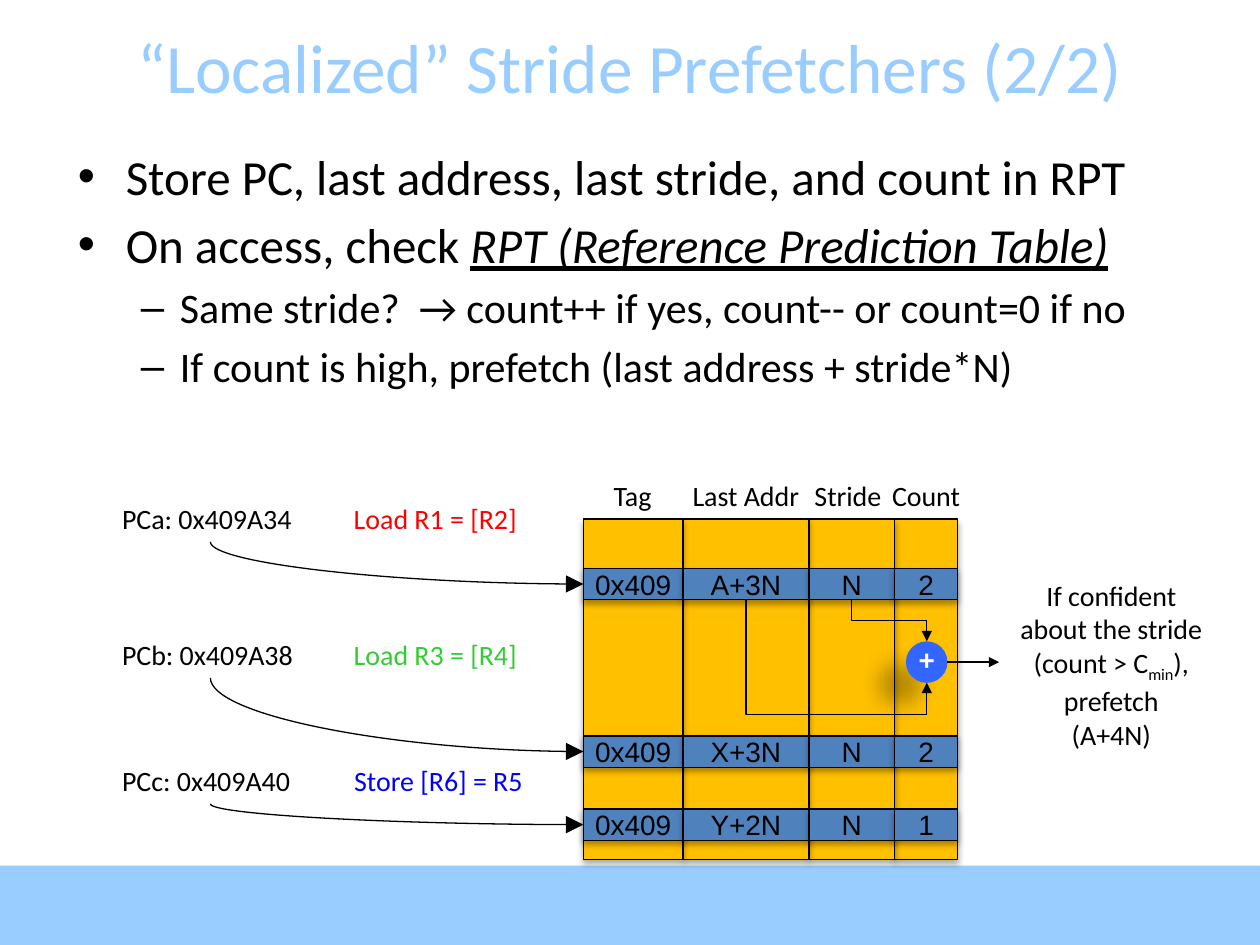
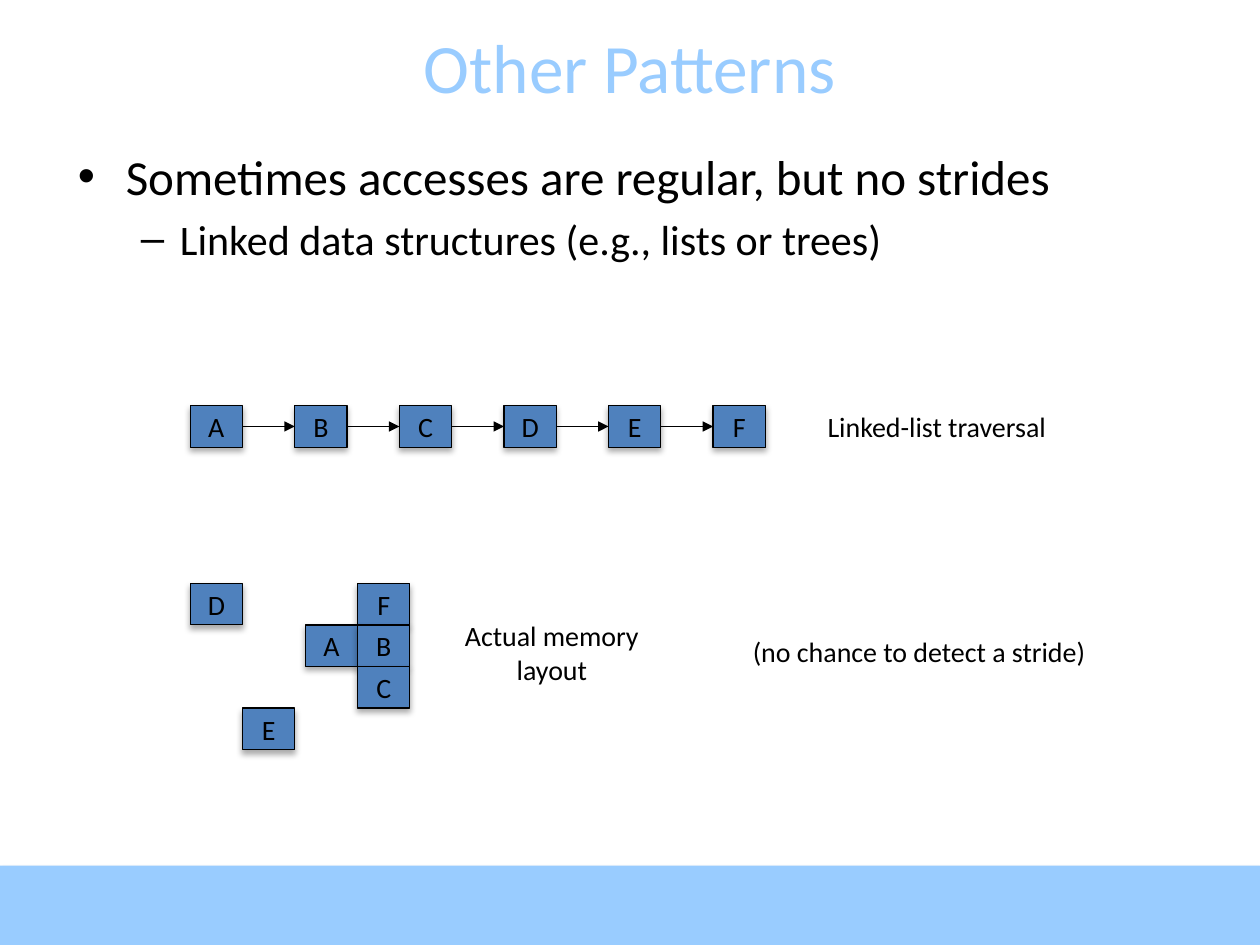
from itertools import pairwise

from lxml import etree
from pptx import Presentation
from pptx.dml.color import RGBColor
from pptx.enum.shapes import MSO_CONNECTOR, MSO_SHAPE
from pptx.enum.text import MSO_ANCHOR, MSO_AUTO_SIZE, PP_ALIGN
from pptx.oxml.ns import qn
from pptx.util import Inches, Pt

RECT, OVAL = MSO_SHAPE.RECTANGLE, MSO_SHAPE.OVAL
STRAIGHT, ELBOW, CURVE = MSO_CONNECTOR.STRAIGHT, MSO_CONNECTOR.ELBOW, MSO_CONNECTOR.CURVE
LEFT, CENTER = PP_ALIGN.LEFT, PP_ALIGN.CENTER
MIDDLE, NO_FIT, GROW = MSO_ANCHOR.MIDDLE, MSO_AUTO_SIZE.NONE, MSO_AUTO_SIZE.SHAPE_TO_FIT_TEXT

SKY = RGBColor(0x99, 0xCC, 0xFF)
GOLD = RGBColor(0xFF, 0xC0, 0x00)
STEEL = RGBColor(0x4F, 0x81, 0xBD)
ADDER_BLUE = RGBColor(0x33, 0x66, 0xFF)
BLACK = RGBColor(0, 0, 0)
WHITE = RGBColor(0xFF, 0xFF, 0xFF)
RED = RGBColor(0xFF, 0, 0)
GREEN = RGBColor(0x33, 0xCC, 0x33)
BLUE = RGBColor(0, 0, 0xFF)

SLIDE_W, SLIDE_H = 10, 7.5
BAND_TOP = 6.87
BULLETS = [("•", 28, 0.38, 0.38), ("–", 24, 0.81, 0.31)]

BAND_SHADOW = (35, 3.1, 1.8, 90)
BOX_SHADOW = (32, 3.5, 2.2, 90)
ADDER_SHADOW = (28, 11.8, 19.7, 141)

TABLE_TOP, TABLE_H, ROW_H = 4.12, 2.7, 0.25
COL_EDGES = [4.63, 5.42, 6.42, 7.1, 7.6]
HEADER_TOP, HEADER_W = 3.75, 1.4
HEADERS = [("Tag", 5.02), ("Last Addr", 5.92), ("Stride", 6.73), ("Count", 7.35)]
ENTRIES = [
    (4.51, ["0x409", "A+3N", "N", "2"]),
    (5.84, ["0x409", "X+3N", "N", "2"]),
    (6.42, ["0x409", "Y+2N", "N", "1"]),
]
ACCESSES = [
    (3.93, "PCa: 0x409A34", "Load R1 = [R2]", RED, 1.61),
    (5.01, "PCb: 0x409A38", "Load R3 = [R4]", GREEN, 1.61),
    (6.01, "PCc: 0x409A40", "Store [R6] = R5", BLUE, 1.66),
]
LABEL_H = 0.37
ADDER_X, ADDER_Y, ADDER_D = 7.19, 5.09, 0.33

LIST_PITCH, NODE_H, NODES_LEFT = 0.83, 0.33, 1.51
NODE_W = LIST_PITCH / 2
LIST_TOP, MEMORY_TOP = 3.22, 4.63
MEMORY = [("F", 3.2, 0), ("A", 2.2, 1), ("B", 3.2, 1), ("C", 3.2, 2), ("D", 0, 0), ("E", 1, 3)]


def add_xml(parent, tag, **attrs):
    """Append a DrawingML child element and return it."""
    return etree.SubElement(parent, qn(tag), {k: str(v) for k, v in attrs.items()})


def write(p, runs, size=16, font="Calibri", color=BLACK, bold=False, align=CENTER):
    """Fill a paragraph from a string or a list of (text, run format)."""
    p.alignment = align
    for text, extra in [(runs, {})] if isinstance(runs, str) else runs:
        r = p.add_run()
        r.text = text
        f = r.font
        f.size, f.name, f.bold = Pt(size), font, bold
        f.color.rgb = color
        f.italic = f.underline = extra.get("emphasis", False)
        if "baseline" in extra:
            r._r.get_or_add_rPr().set("baseline", str(extra["baseline"]))


def next_paragraph(tf, i):
    """Return the frame's first paragraph, or a new one after it."""
    return tf.add_paragraph() if i else tf.paragraphs[0]


def add_shadow(sp, alpha, blur, distance, angle):
    """Give a shape a black outer shadow."""
    sp.shadow.inherit = False
    effects = sp._element.spPr.find(qn("a:effectLst"))
    outer = add_xml(effects, "a:outerShdw", blurRad=Pt(blur), dist=Pt(distance),
                    dir=angle * 60000, rotWithShape=0)
    add_xml(add_xml(outer, "a:srgbClr", val="000000"), "a:alpha", val=alpha * 1000)


def add_box(shapes, kind, x, y, w, h, fill, shadow=BOX_SHADOW, outlined=True, text="", **fmt):
    """Draw a filled shape with a shadow and optional centred text."""
    sp = shapes.add_shape(kind, Inches(x), Inches(y), Inches(w), Inches(h))
    sp.fill.solid()
    sp.fill.fore_color.rgb = fill
    if outlined:
        sp.line.color.rgb = BLACK
        sp.line.width = Pt(0.75)
    else:
        sp.line.fill.background()
    add_shadow(sp, *shadow)
    if text:
        tf = sp.text_frame
        tf.word_wrap, tf.vertical_anchor = False, MIDDLE
        write(tf.paragraphs[0], text, **fmt)
    return sp


def add_label(shapes, x, y, w, h, paragraphs, **fmt):
    """Place a text box that does not wrap."""
    tf = shapes.add_textbox(Inches(x), Inches(y), Inches(w), Inches(h)).text_frame
    tf.word_wrap, tf.auto_size = False, GROW
    for i, runs in enumerate(paragraphs):
        write(next_paragraph(tf, i), runs, **fmt)


def add_arrow(shapes, kind, x1, y1, x2, y2, head="med"):
    """Draw a thin black connector with a triangle at its end."""
    c = shapes.add_connector(kind, Inches(x1), Inches(y1), Inches(x2), Inches(y2))
    c.line.color.rgb = BLACK
    c.line.width = Pt(0.75)
    spPr = c._element.spPr
    add_xml(spPr.find(qn("a:ln")), "a:tailEnd", type="triangle", w=head, len=head)
    add_xml(spPr, "a:effectLst")
    return c


def add_down_arrow(shapes, kind, preset, x1, y1, x2, y2, bend=None, head="med"):
    """Draw a bent or curved arrow that leaves its start downwards."""
    cx, cy = (x1 + x2) / 2, (y1 + y2) / 2
    half_w, half_h = (y2 - y1) / 2, (x2 - x1) / 2
    c = add_arrow(shapes, kind, cx - half_w, cy - half_h, cx + half_w, cy + half_h, head)
    xfrm = c._element.spPr.find(qn("a:xfrm"))
    xfrm.set("rot", str(270 * 60000))
    xfrm.set("flipH", "1")
    geom = c._element.spPr.find(qn("a:prstGeom"))
    geom.set("prst", preset)
    if bend is not None:
        add_xml(geom.find(qn("a:avLst")), "a:gd", name="adj1", fmla=f"val {round(bend * 100000)}")


def add_bullets(s, items):
    """Write (level, paragraph) items as the slide's bulleted body."""
    tf = s.shapes.add_textbox(Inches(0.52), Inches(1.11), Inches(9), Inches(5.56)).text_frame
    tf.word_wrap = True
    for i, (level, runs) in enumerate(items):
        mark, size, margin, hang = BULLETS[level]
        p = next_paragraph(tf, i)
        write(p, runs, size=size, align=LEFT)
        p.level = level
        p.space_before = Pt(size * 0.2)
        pPr = p._p.get_or_add_pPr()
        pPr.set("marL", str(Inches(margin)))
        pPr.set("indent", str(-Inches(hang)))
        add_xml(pPr, "a:buFont", typeface="Arial")
        add_xml(pPr, "a:buChar", char=mark)


def new_slide(prs, title, bullets):
    """Add a slide with the shared band, title and body styles."""
    s = prs.slides.add_slide(prs.slide_layouts[5])
    add_box(s.shapes, RECT, 0, BAND_TOP, SLIDE_W, SLIDE_H - BAND_TOP, SKY, BAND_SHADOW, False)
    sp = s.shapes.title
    sp.left, sp.top, sp.width, sp.height = 0, Inches(0.21), Inches(SLIDE_W), Inches(0.63)
    tf = sp.text_frame
    tf.auto_size, tf.vertical_anchor = NO_FIT, MIDDLE
    write(tf.paragraphs[0], title, size=39.6, color=SKY)
    add_bullets(s, bullets)
    return s


def add_prediction_table(shapes):
    """Draw the table's columns, headers and entries."""
    columns = list(pairwise(COL_EDGES))
    for left, right in reversed(columns):
        add_box(shapes, RECT, left, TABLE_TOP, right - left, TABLE_H, GOLD)
    for text, center in HEADERS:
        add_label(shapes, center - HEADER_W / 2, HEADER_TOP, HEADER_W, LABEL_H, [text])
    for top, values in ENTRIES:
        for (left, right), value in zip(columns, values):
            add_box(shapes, RECT, left, top, right - left, ROW_H, STEEL, text=value, font="Arial")


def add_accesses(shapes):
    """Label each instruction and link it to its table entry."""
    for (top, pc, code, color, code_w), (row_top, _) in zip(ACCESSES, ENTRIES):
        add_label(shapes, 0.87, top, 1.61, LABEL_H, [pc], align=LEFT)
        add_label(shapes, 2.65, top, code_w, LABEL_H, [code], color=color)
        add_down_arrow(shapes, CURVE, "curvedConnector2", 1.67, top + LABEL_H,
                       COL_EDGES[0], row_top + ROW_H / 2, head="lg")


def add_adder(shapes):
    """Draw the adder with its two inputs, its output and the note."""
    add_label(shapes, 7.99, 4.54, 1.66, 1.45, [
        "If confident", "about the stride",
        [("(count > C", {}), ("min", {"baseline": -25000}), ("),", {})],
        "prefetch", "(A+4N)"])
    adder = add_box(shapes, OVAL, ADDER_X, ADDER_Y, ADDER_D, ADDER_D, ADDER_BLUE, ADDER_SHADOW,
                    False, "+", font="Arial", color=WHITE, bold=True)
    adder.text_frame.margin_top = 0
    center, bottom = ADDER_X + ADDER_D / 2, ADDER_Y + ADDER_D
    row_bottom = ENTRIES[0][0] + ROW_H
    for x, y, bend in [(6.76, ADDER_Y, 0.5), (5.92, bottom, 1.38)]:
        add_down_arrow(shapes, ELBOW, "bentConnector3", x, row_bottom, center, y, bend)
    middle = ADDER_Y + ADDER_D / 2
    add_arrow(shapes, STRAIGHT, ADDER_X + ADDER_D, middle, 7.93, middle)


def add_node(shapes, name, col, top):
    """Draw a list node at a column of the node grid."""
    add_box(shapes, RECT, NODES_LEFT + col * NODE_W, top, NODE_W, NODE_H, STEEL, text=name)


def add_linked_list(shapes):
    """Draw the nodes in traversal order, one free column apart."""
    names = "ABCDEF"
    middle = LIST_TOP + NODE_H / 2
    for i, name in enumerate(names):
        add_node(shapes, name, 2 * i, LIST_TOP)
    for i in range(len(names) - 1):
        x = NODES_LEFT + i * LIST_PITCH + NODE_W
        add_arrow(shapes, STRAIGHT, x, middle, x + NODE_W, middle)
    add_label(shapes, 6.42, 3.2, 2.03, LABEL_H, ["Linked-list traversal"])


def add_memory_layout(shapes):
    """Draw the nodes where they lie in memory."""
    for name, col, row in MEMORY:
        add_node(shapes, name, col, MEMORY_TOP + row * NODE_H)
    add_label(shapes, 3.57, 4.86, 1.62, 0.64, ["Actual memory", "layout"])
    add_label(shapes, 5.66, 4.99, 3.27, LABEL_H, ["(no chance to detect a stride)"])


def main():
    """Build both slides and save them."""
    prs = Presentation()
    prs.slide_width, prs.slide_height = Inches(SLIDE_W), Inches(SLIDE_H)

    s = new_slide(prs, "“Localized” Stride Prefetchers (2/2)", [
        (0, "Store PC, last address, last stride, and count in RPT"),
        (0, [("On access, check ", {}), ("RPT (Reference Prediction Table)", {"emphasis": True})]),
        (1, "Same stride?  → count++ if yes, count-- or count=0 if no"),
        (1, "If count is high, prefetch (last address + stride*N)")])
    add_prediction_table(s.shapes)
    add_accesses(s.shapes)
    add_adder(s.shapes)

    s = new_slide(prs, "Other Patterns", [
        (0, "Sometimes accesses are regular, but no strides"),
        (1, "Linked data structures (e.g., lists or trees)")])
    add_linked_list(s.shapes)
    add_memory_layout(s.shapes.add_group_shape().shapes)

    prs.save("out.pptx")


if __name__ == "__main__":
    main()
